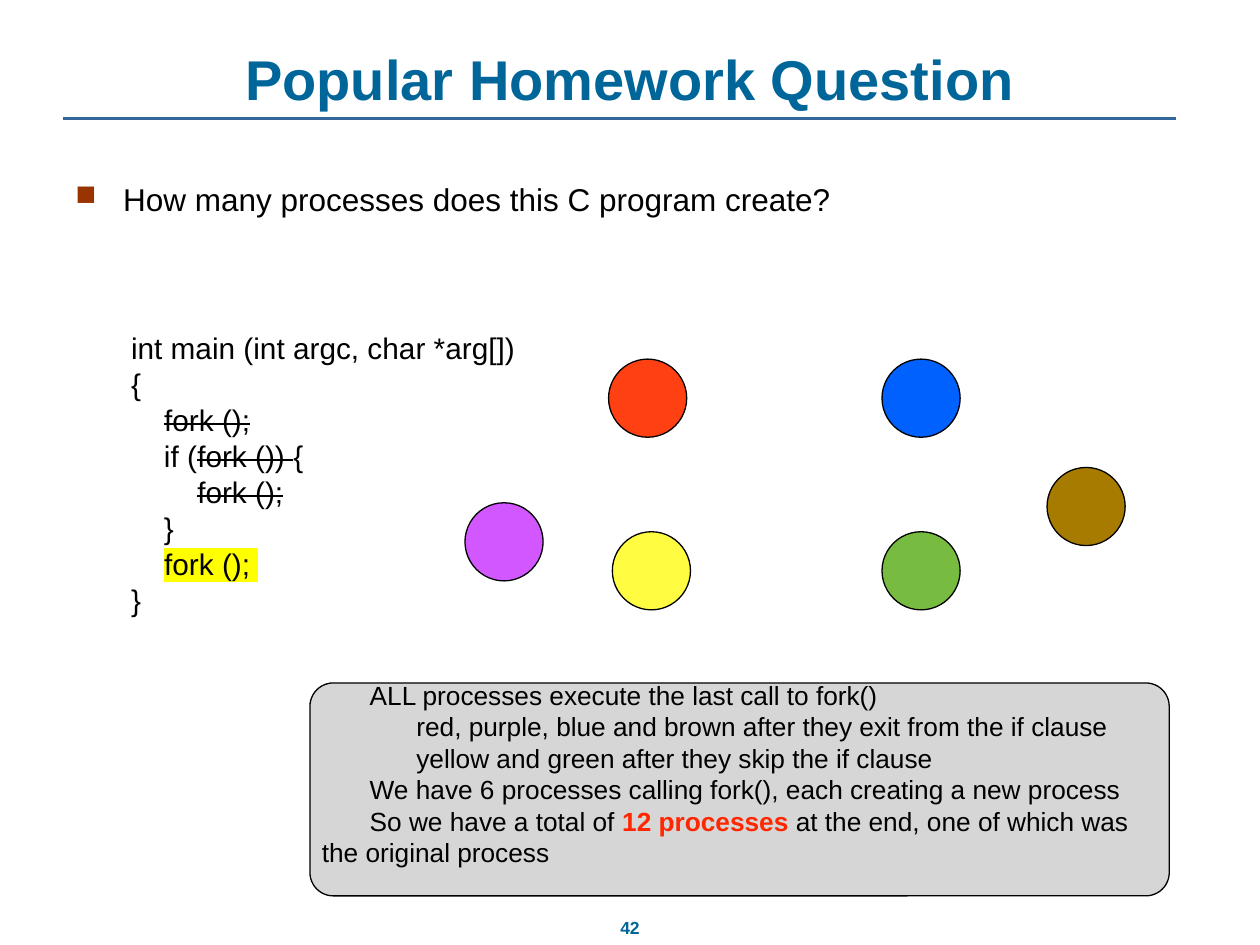
from lxml import etree
from pptx import Presentation
from pptx import util as u
from pptx.dml.color import RGBColor
from pptx.enum import shapes, text
from pptx.oxml.ns import qn

HUES = {
    "title": "006699", "rule": "336699", "mark": "993300", "ink": "000000",
    "red": "FF4013", "blue": "0061FF", "yellow": "FFFC41", "green": "77BB41",
    "brown": "A77B00", "purple": "D357FE", "panel": "D6D6D6",
    "total": "FF2600", "marker": "FFFF00",
}
FACE = "Arial"
MID = text.MSO_ANCHOR.MIDDLE


def rgb(name):
    return RGBColor.from_string(HUES[name])


def sub(node, tag, **attrs):
    return etree.SubElement(node, qn(tag), attrs)


class Deck:
    def __init__(self, wide, high):
        self.prs = Presentation()
        self.prs.slide_width, self.prs.slide_height = u.Inches(wide), u.Inches(high)
        self.slide = self.prs.slides.add_slide(self.prs.slide_layouts[5])

    def style(self, para, size, hue="ink", bold=False):
        font = para.font
        font.name, font.size, font.bold = FACE, u.Pt(size), bold
        font.color.rgb = rgb(hue)

    def runs(self, para, parts):
        """Add (words, look) pairs; look is None, strike, marker or total."""
        for words, look in parts:
            run = para.add_run()
            run.text = words
            props = run._r.get_or_add_rPr()
            if look == "strike":
                props.set("strike", "sngStrike")
            elif look == "marker":
                sub(sub(props, "a:highlight"), "a:srgbClr", val=HUES[look])
            elif look:
                run.font.bold, run.font.color.rgb = True, rgb(look)

    def fill(self, frame, rows, size, pitch=None):
        """Write rows of (indent, parts) at a fixed line pitch."""
        for i, (indent, parts) in enumerate(rows):
            para = frame.paragraphs[0] if i == 0 else frame.add_paragraph()
            para.alignment = text.PP_ALIGN.LEFT
            if indent:
                props = para._p.get_or_add_pPr()
                props.set("marL", str(u.Inches(0.04)))
                props.set("indent", str(u.Inches(indent)))
            if pitch:
                para.line_spacing = u.Pt(pitch)
            self.style(para, size)
            self.runs(para, parts)

    def title(self, words, *box):
        shape = self.slide.shapes.title
        shape.left, shape.top, shape.width, shape.height = map(u.Inches, box)
        frame = shape.text_frame
        frame.text, frame.vertical_anchor = words, text.MSO_ANCHOR.BOTTOM
        para = frame.paragraphs[0]
        para.alignment = text.PP_ALIGN.CENTER
        self.style(para, 32, "title", True)

    def rule(self, x1, x2, y):
        line = self.slide.shapes.add_connector(
            shapes.MSO_CONNECTOR.STRAIGHT, *map(u.Inches, (x1, y, x2, y)))
        line.line.color.rgb, line.line.width = rgb("rule"), u.Pt(1.5)
        sub(line._element.spPr, "a:effectLst")

    def box(self, *box, wrap=True):
        frame = self.slide.shapes.add_textbox(*map(u.Inches, box)).text_frame
        frame.word_wrap = wrap
        return frame

    def bullet(self, words, *box):
        para = self.box(*box).paragraphs[0]
        props = para._p.get_or_add_pPr()
        props.set("marL", str(u.Inches(0.38)))
        props.set("indent", str(u.Inches(-0.38)))
        sub(sub(props, "a:buClr"), "a:srgbClr", val=HUES["mark"])
        sub(props, "a:buSzPct", val="90000")
        sub(props, "a:buChar", char="■")
        self.style(para, 18)
        self.runs(para, [(words, None)])

    def code(self, rows, *box):
        frame = self.box(*box)
        frame.margin_left = frame.margin_right = u.Inches(0.06)
        frame.margin_top = frame.margin_bottom = u.Inches(0.06)
        self.fill(frame, [(0, parts) for parts in rows], 17, 20.5)

    def number(self, words, *box):
        frame = self.box(*box, wrap=False)
        frame.vertical_anchor = MID
        para = frame.paragraphs[0]
        para.alignment = text.PP_ALIGN.CENTER
        self.style(para, 10, "title", True)
        self.runs(para, [(words, None)])

    def shape(self, kind, hue, *box):
        shape = self.slide.shapes.add_shape(kind, *map(u.Inches, box))
        shape.shadow.inherit = False
        shape.fill.solid()
        shape.fill.fore_color.rgb = rgb(hue)
        shape.line.color.rgb, shape.line.width = rgb("ink"), u.Pt(0.75)
        return shape

    def panel(self, rows, *box):
        shape = self.shape(shapes.MSO_SHAPE.ROUNDED_RECTANGLE, "panel", *box)
        shape.adjustments[0] = 0.11
        frame = shape.text_frame
        frame.word_wrap, frame.vertical_anchor = True, MID
        frame.margin_left = frame.margin_right = frame.margin_top = 0
        frame.margin_bottom = u.Inches(0.25)
        self.fill(frame, rows, 15, 18)


def main():
    deck = Deck(10, 7.5)

    # Heading, page number and question
    deck.rule(0.5, 9.33, 0.94)
    deck.number("42", 4.81, 7.23, 0.38, 0.27)
    deck.title("Popular Homework Question", 0.5, 0.31, 9, 0.63)
    deck.bullet("How many processes does this C program create?", 0.5, 1.38, 9, 0.5)

    # Program, with the calls already run struck out
    deck.code([
        [("int main (int argc, char *arg[])", None)],
        [("{", None)],
        [("    ", None), ("fork ();", "strike")],
        [("    if (", None), ("fork ()) ", "strike"), ("{", None)],
        [("        ", None), ("fork ();", "strike")],
        [("    }", None)],
        [("    ", None), ("fork (); ", "marker")],
        [("}", None)],
    ], 0.98, 2.56, 3.25, 2.38)

    # One circle per process
    for hue, x, y in [("red", 4.83, 2.85), ("blue", 7, 2.85),
                      ("yellow", 4.86, 4.22), ("green", 7, 4.22),
                      ("brown", 8.31, 3.71), ("purple", 3.69, 3.99)]:
        deck.shape(shapes.MSO_SHAPE.OVAL, hue, x, y, 0.62, 0.62)

    # Explanation
    deck.panel([
        (0.38, [("ALL processes execute the last call to fork()", None)]),
        (0.75, [("red, purple, blue and brown after they exit from the if clause", None)]),
        (0.75, [("yellow and green after they skip the if clause", None)]),
        (0.38, [("We have 6 processes calling fork(), each creating a new process", None)]),
        (0.38, [("So we have a total of ", None), ("12 processes", "total"),
                (" at the end, one of which was the original process", None)]),
    ], 2.46, 5.42, 6.82, 1.69)

    deck.prs.save("out.pptx")


if __name__ == "__main__":
    main()
